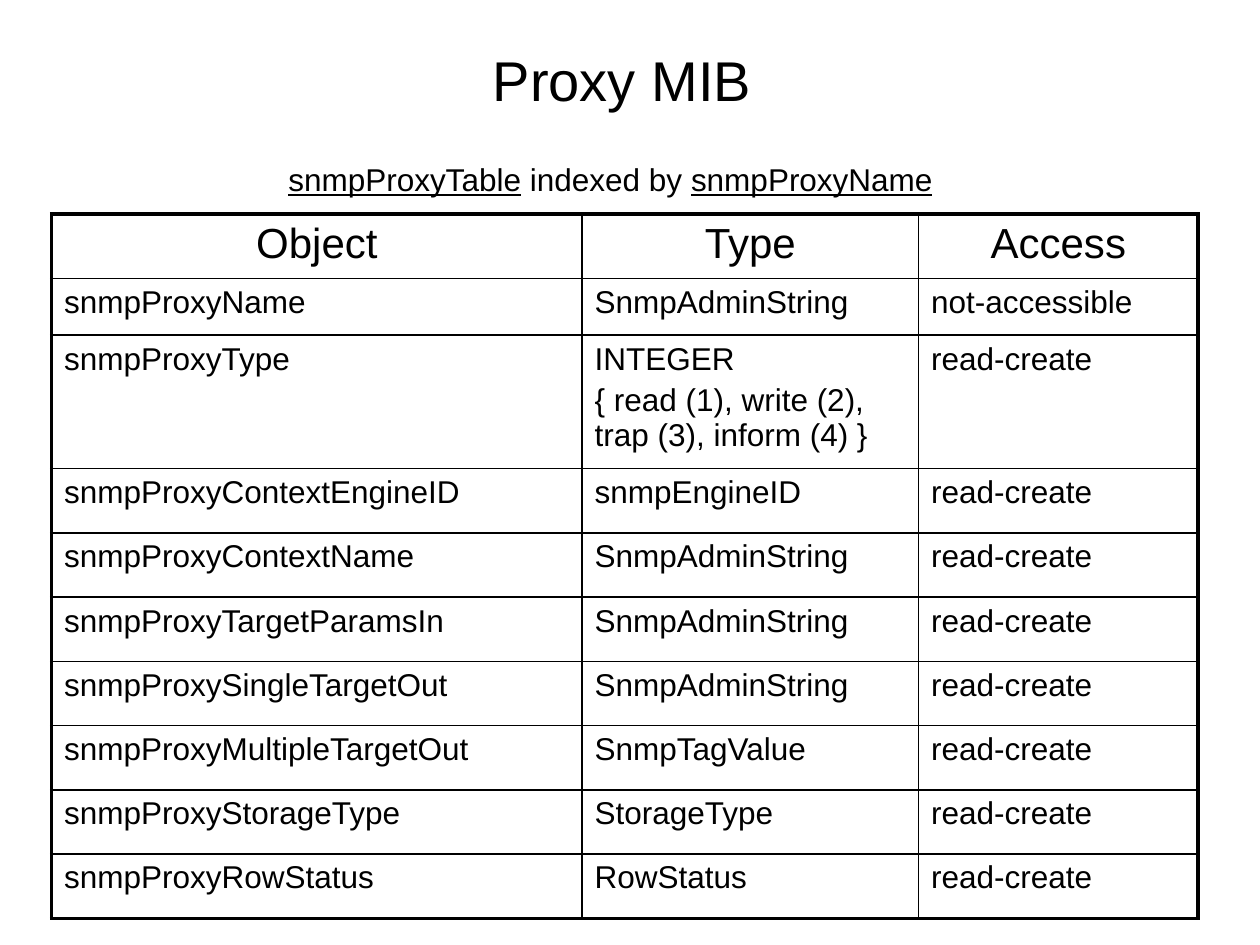
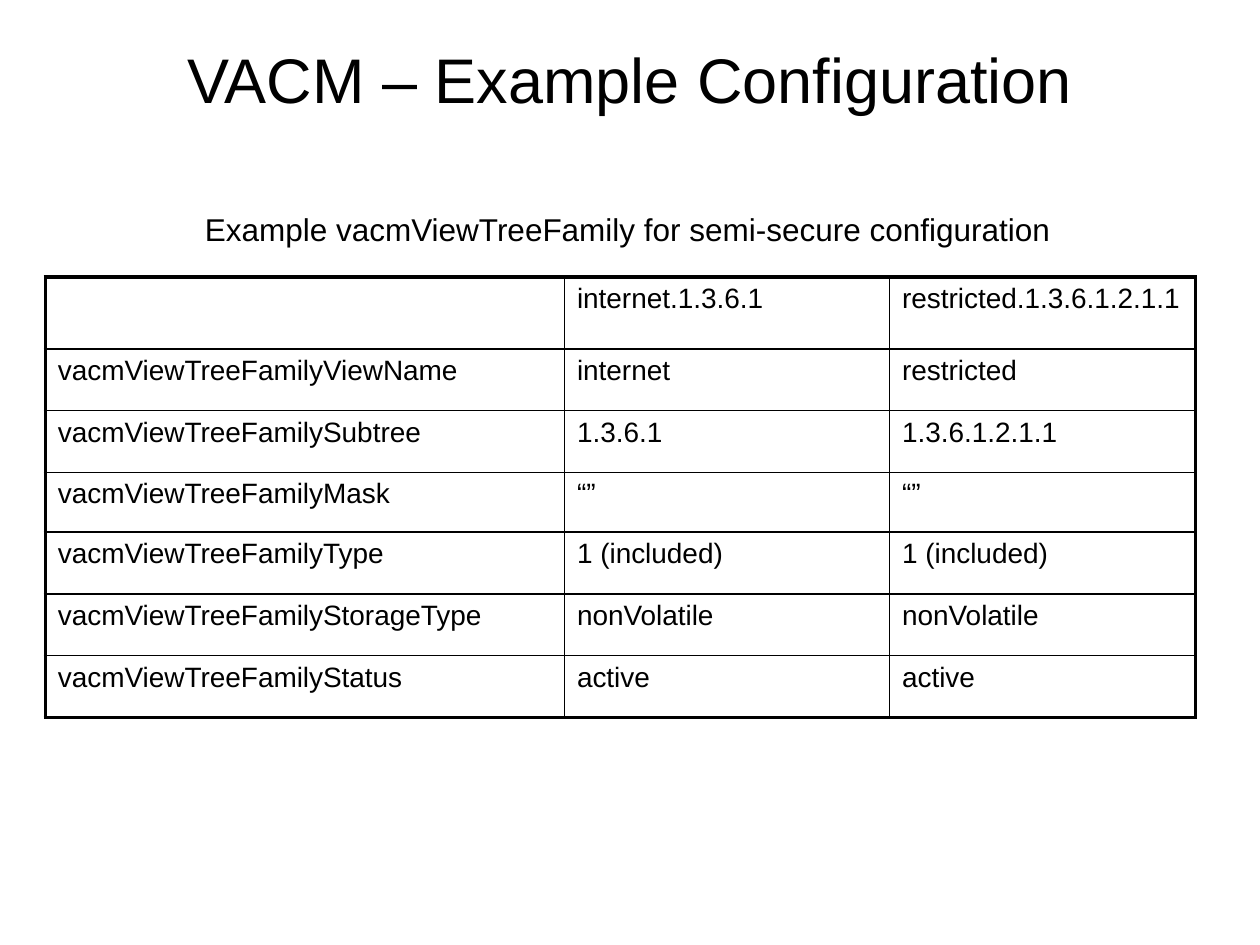
"""Build two slides that show SNMP tables under a title and a caption."""
from dataclasses import dataclass

from lxml import etree
from pptx import Presentation
from pptx.dml.color import RGBColor
from pptx.enum.text import MSO_ANCHOR, MSO_AUTO_SIZE, PP_ALIGN
from pptx.oxml.ns import qn
from pptx.util import Inches, Pt

LEFT, CENTER = PP_ALIGN.LEFT, PP_ALIGN.CENTER
TOP, MIDDLE = MSO_ANCHOR.TOP, MSO_ANCHOR.MIDDLE
FIT_SHAPE = MSO_AUTO_SIZE.SHAPE_TO_FIT_TEXT


@dataclass(frozen=True)
class Theme:
    font: str = "Arial"
    ink: str = "000000"
    caption_size: int = 18
    outer_line: float = 2.25
    inner_line: float = 1
    paragraph_gap: float = 0.2


theme = Theme()
WIDTH, HEIGHT = Inches(10), Inches(7.5)
COLUMN, ROW = WIDTH // 100, HEIGHT // 75

SLIDES = [
    {
        "title": "Proxy MIB ",
        "title_size": 32,
        "caption": "|snmpProxyTable| indexed by |snmpProxyName|",
        "caption_box": (21.9, 12.2, 53.4, 4),
        "caption_align": LEFT,
        "table_corner": (4.1, 17),
        "columns": (42.1, 26.7, 22.2),
        "rows": (5.1, 4.5, 10.6) + (5.1,) * 7,
        "header_size": 24,
        "header_align": CENTER,
        "body_size": 18,
        "cells": [
            ("Object", "Type", "Access"),
            ("snmpProxyName", "SnmpAdminString", "not-accessible"),
            ("snmpProxyType",
             "INTEGER\n{ read (1), write (2), trap (3), inform (4) }",
             "read-create"),
            ("snmpProxyContextEngineID", "snmpEngineID", "read-create"),
            ("snmpProxyContextName", "SnmpAdminString", "read-create"),
            ("snmpProxyTargetParamsIn", "SnmpAdminString", "read-create"),
            ("snmpProxySingleTargetOut", "SnmpAdminString", "read-create"),
            ("snmpProxyMultipleTargetOut", "SnmpTagValue", "read-create"),
            ("snmpProxyStorageType", "StorageType", "read-create"),
            ("snmpProxyRowStatus", "RowStatus", "read-create"),
        ],
    },
    {
        "title": "VACM – Example Configuration",
        "title_size": 36,
        "caption": "Example vacmViewTreeFamily for semi-secure configuration ",
        "caption_box": (15.2, 16.2, 69.9, 4),
        "caption_align": CENTER,
        "table_corner": (3.6, 22),
        "columns": (41.2, 25.8, 24.3),
        "rows": (5.7, 4.9, 4.9, 4.75, 4.9, 4.9, 4.9),
        "header_size": 16,
        "header_align": LEFT,
        "body_size": 16,
        "cells": [
            ("", "internet.1.3.6.1", "restricted.1.3.6.1.2.1.1"),
            ("vacmViewTreeFamilyViewName", "internet", "restricted"),
            ("vacmViewTreeFamilySubtree", "1.3.6.1", "1.3.6.1.2.1.1"),
            ("vacmViewTreeFamilyMask", "“”", "“”"),
            ("vacmViewTreeFamilyType", "1 (included)", "1 (included)"),
            ("vacmViewTreeFamilyStorageType", "nonVolatile", "nonVolatile"),
            ("vacmViewTreeFamilyStatus", "active", "active"),
        ],
    },
]


def write_text(frame, text, size, align=LEFT, anchor=TOP, wrap=True):
    """Fill a text frame; newlines part paragraphs, bars enclose underlined words."""
    frame.word_wrap = wrap
    frame.vertical_anchor = anchor
    for index, line in enumerate(text.split("\n")):
        paragraph = frame.add_paragraph() if index else frame.paragraphs[0]
        paragraph.alignment = align
        if index:
            paragraph.space_before = Pt(size * theme.paragraph_gap)
        for position, piece in enumerate(line.split("|")):
            if piece:
                run = paragraph.add_run()
                run.text = piece
                run.font.name = theme.font
                run.font.size = Pt(size)
                run.font.color.rgb = RGBColor.from_string(theme.ink)
                run.font.underline = position % 2 == 1


def draw_borders(cell, outer_sides):
    """Line a cell, with a heavy line on its outer sides."""
    properties = cell._tc.get_or_add_tcPr()
    for position, side in enumerate("LRTB"):
        width = theme.outer_line if side in outer_sides else theme.inner_line
        line = etree.Element(qn(f"a:ln{side}"), w=str(Pt(width)))
        fill = etree.SubElement(line, qn("a:solidFill"))
        etree.SubElement(fill, qn("a:srgbClr"), val=theme.ink)
        properties.insert(position, line)


presentation = Presentation()
presentation.slide_width, presentation.slide_height = WIDTH, HEIGHT
blank_layout = presentation.slide_layouts[6]

for content in SLIDES:
    slide = presentation.slides.add_slide(blank_layout)

    title = slide.shapes.add_textbox(5 * COLUMN, 0, 90 * COLUMN, int(12.5 * ROW))
    write_text(title.text_frame, content["title"], content["title_size"],
               align=CENTER, anchor=MIDDLE)

    left, top, width, height = content["caption_box"]
    caption = slide.shapes.add_textbox(int(left * COLUMN), int(top * ROW),
                                       int(width * COLUMN), int(height * ROW))
    write_text(caption.text_frame, content["caption"], theme.caption_size,
               align=content["caption_align"], wrap=False)
    caption.text_frame.auto_size = FIT_SHAPE

    left, top = content["table_corner"]
    columns, rows = content["columns"], content["rows"]
    table = slide.shapes.add_table(
        len(rows), len(columns), int(left * COLUMN), int(top * ROW),
        int(sum(columns) * COLUMN), int(sum(rows) * ROW)).table
    table.first_row = table.horz_banding = False
    for table_column, share in zip(table.columns, columns):
        table_column.width = int(share * COLUMN)
    for table_row, share in zip(table.rows, rows):
        table_row.height = int(share * ROW)

    for row_index, row_texts in enumerate(content["cells"]):
        kind = "body" if row_index else "header"
        align = LEFT if row_index else content["header_align"]
        for column_index, text in enumerate(row_texts):
            cell = table.cell(row_index, column_index)
            cell.fill.background()
            write_text(cell.text_frame, text, content[f"{kind}_size"], align=align)
            edges = {"L": column_index == 0, "R": column_index == len(columns) - 1,
                     "T": row_index == 0, "B": row_index == len(rows) - 1}
            draw_borders(cell, [side for side, outer in edges.items() if outer])

presentation.save("out.pptx")
